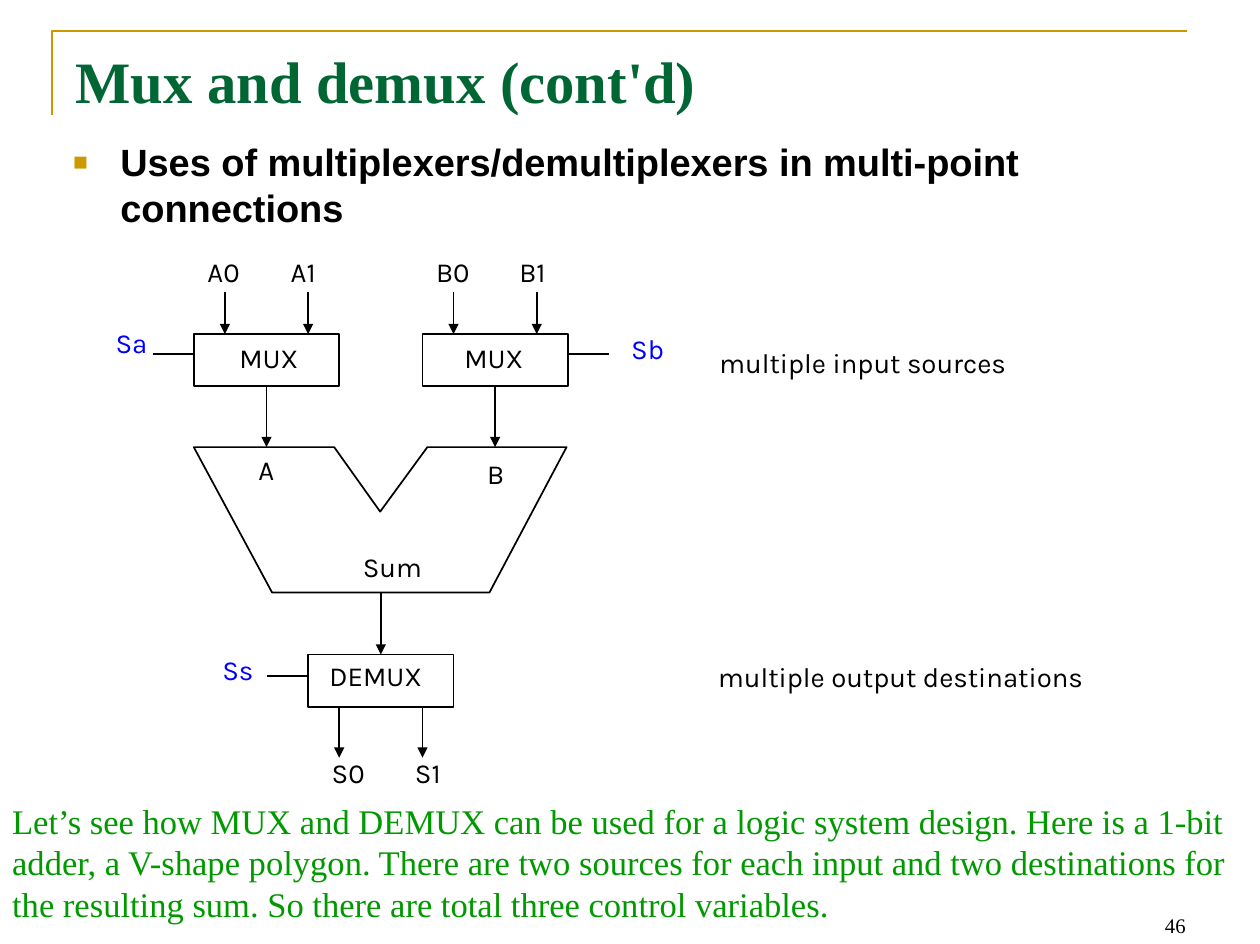
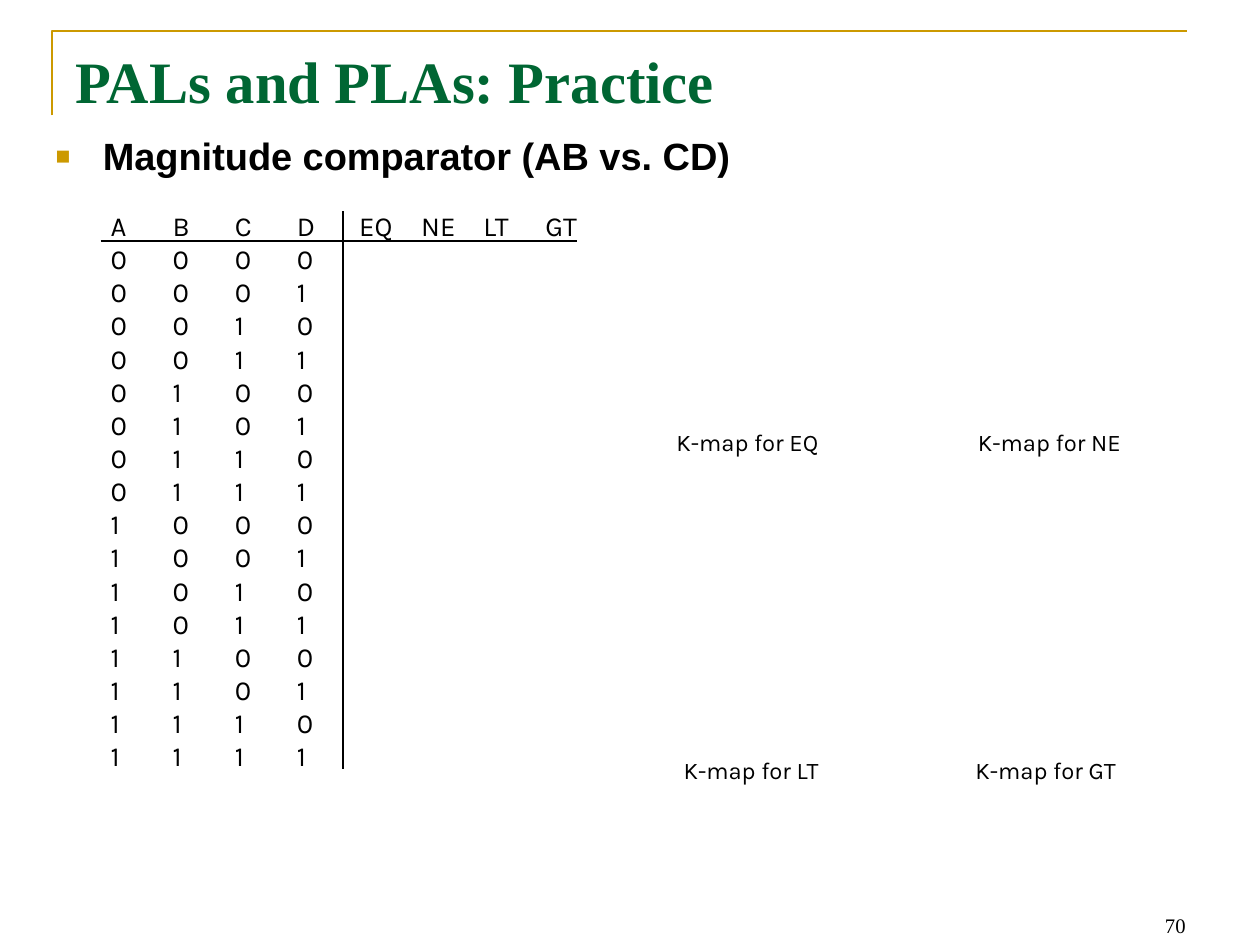
from lxml.etree import SubElement
from pptx import Presentation
from pptx.dml.color import RGBColor
from pptx.enum.shapes import MSO_CONNECTOR, MSO_SHAPE
from pptx.enum.text import MSO_ANCHOR, PP_ALIGN
from pptx.oxml.ns import qn
from pptx.util import Inches, Pt

SERIF, SANS, LABEL = "Times New Roman", "Arial", "Karla"
BLACK, WHITE, GOLD = "000000", "FFFFFF", "CC9900"
TITLE_GREEN, NOTE_GREEN, CONTROL_BLUE = "006633", "009900", "0000FF"
LEFT, CENTER, RIGHT = PP_ALIGN.LEFT, PP_ALIGN.CENTER, PP_ALIGN.RIGHT


def color(value):
    return RGBColor.from_string(value)


class Deck:
    """Holds the shared style and the slide being drawn."""

    def __init__(self):
        self.presentation = Presentation()
        self.presentation.slide_width = Inches(10.14)
        self.presentation.slide_height = Inches(7.6)
        self.slide = None

    def begin_slide(self, title, number):
        layout = self.presentation.slide_layouts[6]
        self.slide = self.presentation.slides.add_slide(layout)
        self.outline([(0.42, 0.93), (0.42, 0.25), (9.55, 0.25)], GOLD, 1.5, False)
        self.text(number, 7.27, 7.09, 2.37, 0.51, SERIF, 12, align=RIGHT,
                  anchor=MSO_ANCHOR.BOTTOM)
        self.text(title, 0.51, 0.31, 9.12, 1.26, SERIF, 34, TITLE_GREEN, bold=True)

    def add_run(self, paragraph, text, font, size, hex_color=BLACK, bold=False):
        run = paragraph.add_run()
        run.text = text
        run.font.name, run.font.size, run.font.bold = font, Pt(size), bold
        run.font.color.rgb = color(hex_color)

    def text(self, text, left, top, width, height, font, size, hex_color=BLACK,
             bold=False, align=LEFT, anchor=MSO_ANCHOR.TOP, margins=(0.1, 0.05),
             wrap=True):
        box = self.slide.shapes.add_textbox(
            Inches(left), Inches(top), Inches(width), Inches(height))
        frame = box.text_frame
        frame.word_wrap, frame.vertical_anchor = wrap, anchor
        frame.margin_left = frame.margin_right = Inches(margins[0])
        frame.margin_top = frame.margin_bottom = Inches(margins[1])
        paragraph = frame.paragraphs[0]
        paragraph.alignment = align
        self.add_run(paragraph, text, font, size, hex_color, bold)
        return paragraph

    def label(self, text, left, top, width, height=0.36, hex_color=BLACK,
              align=LEFT, size=16, spacing=None):
        paragraph = self.text(text, left, top, width, height, LABEL, size, hex_color,
                              align=align, margins=(0.02, 0.03), wrap=False)
        paragraph.line_spacing = Pt(spacing or size)

    def bullet(self, text, left, top, width, height):
        paragraph = self.text(text, left, top, width, height, SANS, 22, bold=True)
        properties = paragraph._p.get_or_add_pPr()
        properties.set("marL", str(Inches(0.38)))
        properties.set("indent", str(-Inches(0.38)))
        bullet_color = SubElement(properties, qn("a:buClr"))
        SubElement(bullet_color, qn("a:srgbClr"), val=GOLD)
        SubElement(properties, qn("a:buSzPct"), val="65000")
        SubElement(properties, qn("a:buFont"), typeface=SANS)
        SubElement(properties, qn("a:buChar"), char="■")

    def outline(self, points, hex_color=BLACK, weight=1, close=True):
        corners = [(Inches(x), Inches(y)) for x, y in points]
        builder = self.slide.shapes.build_freeform(*corners[0])
        builder.add_line_segments(corners[1:], close=close)
        shape = builder.convert_to_shape()
        shape.shadow.inherit = False
        shape.fill.background()
        shape.line.color.rgb, shape.line.width = color(hex_color), Pt(weight)

    def box(self, left, top, width, height):
        shape = self.slide.shapes.add_shape(
            MSO_SHAPE.RECTANGLE, Inches(left), Inches(top), Inches(width), Inches(height))
        shape.shadow.inherit = False
        shape.fill.solid()
        shape.fill.fore_color.rgb = color(WHITE)
        shape.line.color.rgb, shape.line.width = color(BLACK), Pt(1)
        return shape

    def line(self, x1, y1, x2, y2, arrow=False):
        connector = self.slide.shapes.add_connector(
            MSO_CONNECTOR.STRAIGHT, Inches(x1), Inches(y1), Inches(x2), Inches(y2))
        connector.line.color.rgb, connector.line.width = color(BLACK), Pt(1)
        properties = connector._element.spPr
        if arrow:
            SubElement(properties.get_or_add_ln(), qn("a:tailEnd"), type="triangle")
        SubElement(properties, qn("a:effectLst"))
        return connector

    def table(self, rows, left, top, column_width, row_height):
        frame = self.slide.shapes.add_table(
            len(rows), len(rows[0]), Inches(left), Inches(top),
            Inches(column_width * len(rows[0])), Inches(row_height * len(rows)))
        table = frame.table
        table.first_row = table.horz_banding = False
        for row, values in zip(table.rows, rows):
            row.height = Inches(row_height)
            for cell, value in zip(row.cells, values):
                cell.fill.background()
                cell.margin_left = Inches(0.08)
                cell.margin_right = cell.margin_top = cell.margin_bottom = 0
                paragraph = cell.text_frame.paragraphs[0]
                if value:
                    self.add_run(paragraph, value, LABEL, 16)
                else:
                    # A small font keeps an open cell from stretching its row
                    SubElement(paragraph._p, qn("a:endParaRPr"), sz="800")


def draw_adder(deck):
    deck.begin_slide("Mux and demux (cont'd)", "46")
    deck.bullet("Uses of multiplexers/demultiplexers in multi-point connections",
                0.49, 1.07, 9.65, 0.57)

    unit_width, unit_height = 1.17, 0.42
    mux_top, adder_top, adder_bottom, demux_top = 2.69, 3.6, 4.77, 5.27
    port_offsets = (0.25, 0.92)

    def ports(name, unit_left, line_top, line_bottom, label_top, label_shift):
        for index, offset in enumerate(port_offsets):
            x = unit_left + offset
            deck.line(x, line_top, x, line_bottom, arrow=True)
            deck.label(f"{name}{index}", x - label_shift, label_top, 0.33)

    # Adder
    deck.outline([(1.56, adder_top), (2.69, adder_top), (3.06, 4.12), (3.44, adder_top),
                  (4.56, adder_top), (3.94, adder_bottom), (2.19, adder_bottom)])
    deck.label("A", 2.06, 3.66, 0.29)
    deck.label("B", 3.9, 3.69, 0.29)
    deck.label("Sum", 2.9, 4.44, 0.74)

    # Multiplexers feeding the adder
    for name, left, label_left in (("A", 1.56, 1.7), ("B", 3.4, 3.51)):
        mux = deck.box(left, mux_top, unit_width, unit_height)
        deck.label("MUX", label_left, 2.76, 0.93, align=CENTER)
        ports(name, left, 2.35, mux_top, 2.07, 0.16)
        middle = left + unit_width / 2
        arrow = deck.line(middle, mux_top + unit_height, middle, adder_top, arrow=True)
        arrow.begin_connect(mux, 2)

    # Demultiplexer taking the sum
    demux_left = 2.48
    demux = deck.box(demux_left, demux_top, unit_width, unit_height)
    deck.label("DEMUX", 2.56, 5.32, 0.93, align=CENTER)
    ports("S", demux_left, demux_top + unit_height, 6.1, 6.1, 0.08)
    middle = demux_left + unit_width / 2
    arrow = deck.line(middle, adder_bottom, middle, demux_top, arrow=True)
    arrow.end_connect(demux, 0)

    # Control variables
    for name, left, top, width, align, start, end, y in (
            ("Sa", 0.91, 2.64, 0.42, LEFT, 1.56, 1.23, 2.85),
            ("Sb", 5.06, 2.69, 0.42, LEFT, 4.56, 4.9, 2.85),
            ("Ss", 1.62, 5.27, 0.44, RIGHT, 2.48, 2.15, 5.44)):
        deck.label(name, left, top, width, hex_color=CONTROL_BLUE, align=align)
        deck.line(start, y, end, y)

    # Remarks
    deck.label("multiple input sources", 5.77, 2.73, 2.85, 0.43, spacing=21)
    deck.label("multiple output destinations", 5.76, 5.26, 3.53, 0.43, spacing=21)
    deck.text("Let’s see how MUX and DEMUX can be used for a logic system design. "
              "Here is a 1-bit adder, a V-shape polygon. There are two sources for each "
              "input and two destinations for the resulting sum. So there are total "
              "three control variables.", 0, 6.39, 10.14, 1.1, SERIF, 20, NOTE_GREEN)


def draw_comparator(deck):
    deck.begin_slide("PALs and PLAs: Practice", "70")
    deck.bullet("Magnitude comparator (AB vs. CD)", 0.35, 1.02, 9, 0.5)

    # Truth table: the inputs count up in binary, the outputs stay open
    header = ["A", "B", "C", "D", "EQ", "NE", "LT", "GT"]
    rows = [header] + [list(f"{number:04b}") + [""] * 4 for number in range(16)]
    deck.table(rows, 0.81, 1.7, 0.5, 4.53 / len(rows))
    deck.line(2.76, 1.7, 2.76, 6.19)
    deck.line(0.81, 1.94, 4.64, 1.94)

    # Captions of the Karnaugh maps
    for output, left, top in (("EQ", 5.32, 3.45), ("NE", 7.75, 3.45),
                              ("LT", 5.35, 6.09), ("GT", 7.72, 6.09)):
        deck.label(f"K-map for {output}", left, top, 1.39, 0.33, align=CENTER, size=13.8)


def main():
    deck = Deck()
    draw_adder(deck)
    draw_comparator(deck)
    deck.presentation.save("out.pptx")


if __name__ == "__main__":
    main()
